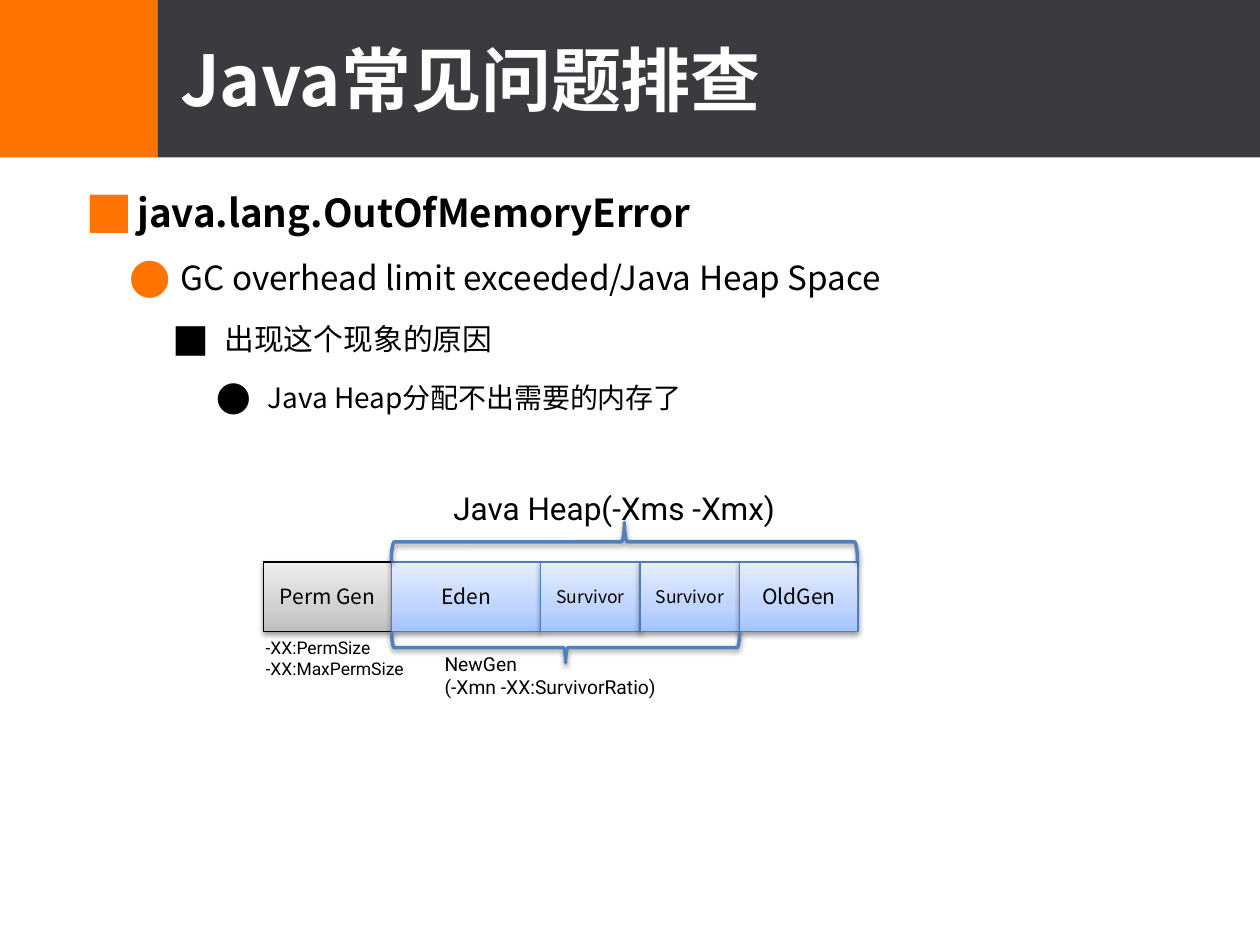
import pptx
import pptx.util
import pptx.dml.color
import pptx.enum.shapes
import pptx.enum.text
import pptx.oxml
import pptx.oxml.ns

Inches, Pt = pptx.util.Inches, pptx.util.Pt
RGB = pptx.dml.color.RGBColor.from_string
SHAPE = pptx.enum.shapes.MSO_SHAPE
ALIGN = pptx.enum.text.PP_ALIGN
ANCHOR = pptx.enum.text.MSO_ANCHOR
FIT = pptx.enum.text.MSO_AUTO_SIZE
NS = pptx.oxml.ns.nsdecls("a")
CJK, LATIN = "Noto Sans CJK SC", "Roboto"
COLORS = {"dark": "3C3A3E", "orange": "FF7300", "white": "FFFFFF", "black": "000000",
          "region_line": "4B7EBC", "brace": "4F81BD"}
GRAY_STOPS = [(0, "BDBDBD"), (35, "D1D1D1"), (100, "EEEEEE")]
BLUE_STOPS = [(0, "A4C4FF"), (35, "BFD4FF"), (100, "E6EEFF")]


def write(paragraph, text, size, font=CJK, color="black", bold=False, align=ALIGN.LEFT):
    """Put one formatted run into a paragraph."""
    paragraph.alignment = align
    run = paragraph.add_run()
    run.text = text
    run.font.size, run.font.bold = Pt(size), bold
    run.font.color.rgb = RGB(COLORS[color])
    run.font.name = font
    run.font.element.append(pptx.oxml.parse_xml(f'<a:ea {NS} typeface="{font}"/>')) \
        if hasattr(run.font, "element") else run._r.get_or_add_rPr().append(
            pptx.oxml.parse_xml(f'<a:ea {NS} typeface="{font}"/>'))


def add_shadowed(kind, left, top, width, height, line, weight):
    """Add an outlined shape with a soft shadow below it."""
    shape = slide.shapes.add_shape(kind, Inches(left), Inches(top), Inches(width), Inches(height))
    shape.fill.background()
    shape.line.color.rgb = RGB(COLORS[line])
    shape.line.width = Pt(weight)
    shape.shadow.inherit = False
    effects = shape.element.spPr.find(pptx.oxml.ns.qn("a:effectLst"))
    effects.append(pptx.oxml.parse_xml(
        f'<a:outerShdw {NS} blurRad="40000" dist="20000" dir="5400000" rotWithShape="0">'
        '<a:srgbClr val="000000"><a:alpha val="38000"/></a:srgbClr></a:outerShdw>'))
    return shape


deck = pptx.Presentation()
deck.slide_width, deck.slide_height = Inches(10), Inches(7.5)
slide = deck.slides.add_slide(deck.slide_layouts[1])
title, body = slide.shapes.title, slide.placeholders[1]

# Header
for left, width, color in [(1.25, 8.76, "dark"), (0, 1.25, "orange")]:
    band = slide.shapes.add_shape(SHAPE.RECTANGLE, Inches(left), 0, Inches(width), Inches(1.25))
    band.fill.solid()
    band.fill.fore_color.rgb = RGB(COLORS[color])
    band.line.fill.background()
    band.shadow.inherit = False
    title.element.addprevious(band.element)

for holder, box in [(title, (1.33, 0, 8.5, 1.25)), (body, (0.33, 1.5, 9.33, 5.42))]:
    holder.left, holder.top, holder.width, holder.height = map(Inches, box)
    holder.text_frame.auto_size = FIT.NONE
title.text_frame.vertical_anchor = ANCHOR.MIDDLE
write(title.text_frame.paragraphs[0], "Java常见问题排查", 40, color="white", bold=True)

# Bulleted list
points = [
    ("java.lang.OutOfMemoryError", 22, "■", "orange"),
    ("GC overhead limit exceeded/Java Heap Space", 19, "●", "orange"),
    ("出现这个现象的原因", 17, "■", "black"),
    ("Java Heap分配不出需要的内存了", 16, "●", "black"),
]
for level, (text, size, bullet, color) in enumerate(points):
    point = body.text_frame.add_paragraph() if level else body.text_frame.paragraphs[0]
    point.level = level
    point.space_before = Pt(16.2)
    point.line_spacing = 0.86
    write(point, text, size, bold=level == 0)
    properties = point._p.get_or_add_pPr()
    properties.set("marL", str(Inches(0.66 + 0.345 * level)))
    properties.set("indent", str(Inches(-0.41)))
    for tag in [f'<a:buClr {NS}><a:srgbClr val="{COLORS[color]}"/></a:buClr>',
                f'<a:buSzPct {NS} val="124000"/>',
                f'<a:buFont {NS} typeface="{CJK}"/>',
                f'<a:buChar {NS} char="{bullet}"/>']:
        properties.append(pptx.oxml.parse_xml(tag))

# Memory regions, side by side
regions = [("Perm Gen", 1.02, 12), ("Eden", 1.18, 12), ("Survivor", 0.79, 10),
           ("Survivor", 0.79, 10), ("OldGen", 0.94, 12)]
left = 2.09
for name, width, size in regions:
    permanent = name == "Perm Gen"
    region = add_shadowed(SHAPE.RECTANGLE, left, 4.46, width, 0.55,
                          "black" if permanent else "region_line", 0.75)
    stops = "".join(f'<a:gs pos="{pos * 1000}"><a:srgbClr val="{shade}"/></a:gs>'
                    for pos, shade in (GRAY_STOPS if permanent else BLUE_STOPS))
    no_fill = region.element.spPr.find(pptx.oxml.ns.qn("a:noFill"))
    region.element.spPr.replace(no_fill, pptx.oxml.parse_xml(
        f'<a:gradFill {NS} rotWithShape="1"><a:gsLst>{stops}</a:gsLst>'
        '<a:lin ang="16200000" scaled="0"/></a:gradFill>'))
    region.text_frame.vertical_anchor = ANCHOR.MIDDLE
    write(region.text_frame.paragraphs[0], name, size, align=ALIGN.CENTER)
    left += width

# Braces over the heap and under the new generation
for box, rotation in [((4.8, 2.45, 0.31, 3.7), 90), ((4.37, 3.76, 0.24, 2.76), 270)]:
    brace = add_shadowed(SHAPE.LEFT_BRACE, *box, "brace", 2)
    brace.rotation = rotation

# Option labels
labels = [
    (["Java Heap(-Xms -Xmx)"], (3.5, 3.83, 2.93, 0.4), 18, False),
    (["-XX:PermSize", "-XX:MaxPermSize"], (2.01, 5.01, 1.38, 0.44), 10, False),
    (["NewGen", "(-Xmn -XX:SurvivorRatio)"], (3.43, 5.13, 2.36, 0.47), 11, True),
]
for lines, box, size, wrap in labels:
    label = slide.shapes.add_textbox(*map(Inches, box)).text_frame
    label.word_wrap = wrap
    label.auto_size = FIT.SHAPE_TO_FIT_TEXT
    for index, text in enumerate(lines):
        line = label.add_paragraph() if index else label.paragraphs[0]
        write(line, text, size, font=LATIN)

deck.save("out.pptx")
